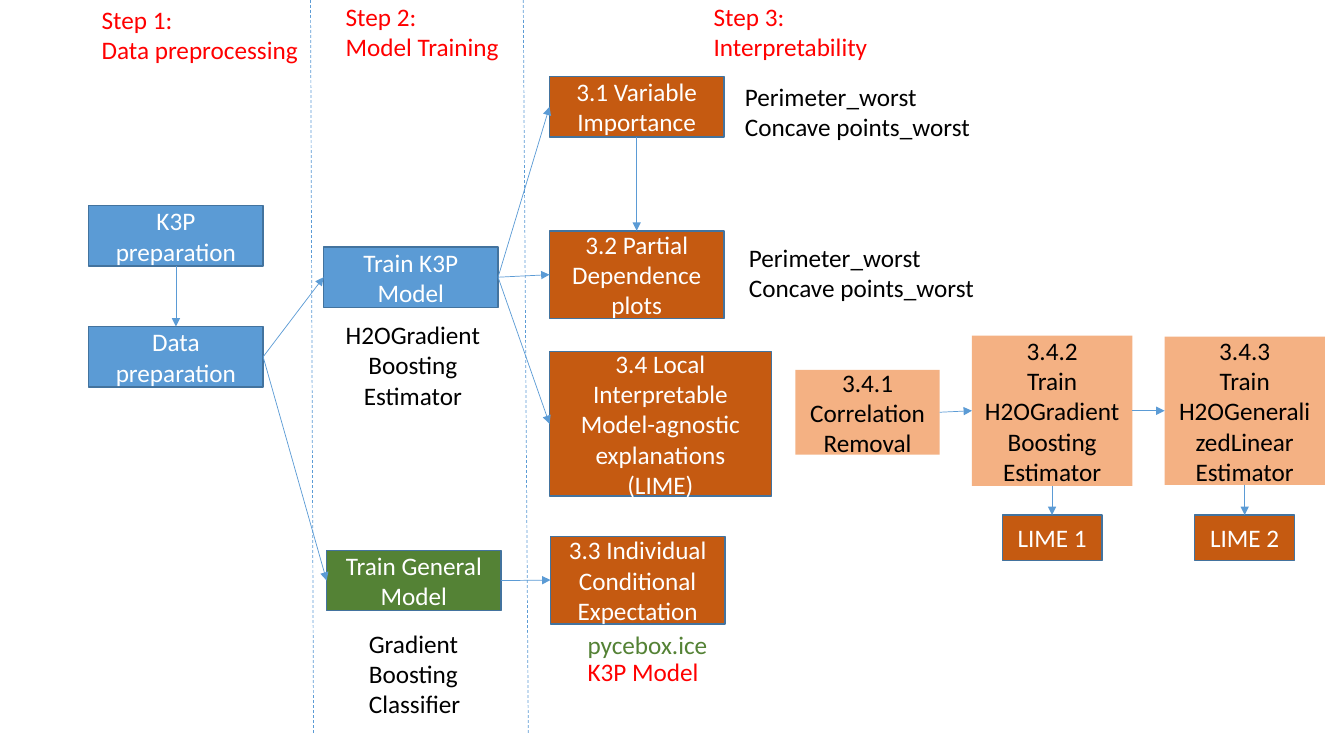
from lxml.etree import SubElement
from pptx import Presentation
from pptx.dml.color import RGBColor
from pptx.enum.dml import MSO_LINE
from pptx.enum.shapes import MSO_CONNECTOR, MSO_SHAPE
from pptx.enum.text import MSO_ANCHOR, MSO_AUTO_SIZE, PP_ALIGN
from pptx.oxml.ns import qn
from pptx.util import Inches, Pt

BLUE = RGBColor(0x5B, 0x9B, 0xD5)
OUTLINE = RGBColor(0x43, 0x73, 0x9E)
ORANGE = RGBColor(0xC5, 0x5A, 0x11)
PEACH = RGBColor(0xF4, 0xB1, 0x83)
GREEN = RGBColor(0x54, 0x82, 0x35)
RED = RGBColor(0xFF, 0x00, 0x00)
BLACK = RGBColor(0x00, 0x00, 0x00)
WHITE = RGBColor(0xFF, 0xFF, 0xFF)

TOP, LEFT, BOTTOM, RIGHT = 0, 1, 2, 3
BOX_WIDTH, BOX_HEIGHT, TALL_HEIGHT = 1.73, 0.6, 0.87


def write(frame, text, color=BLACK, align=PP_ALIGN.LEFT, wrap=True):
    """Fill a text frame with one paragraph per line of text."""
    frame.word_wrap = wrap
    for index, line in enumerate(text.split("\n")):
        para = frame.add_paragraph() if index else frame.paragraphs[0]
        para.alignment = align
        span = para.add_run()
        span.text = line
        span.font.name = "Calibri"
        span.font.size = Pt(18)
        span.font.color.rgb = color


def add_label(page, left, top, width, height, text, **style):
    """Add a text box that grows with its text."""
    label = page.shapes.add_textbox(Inches(left), Inches(top), Inches(width), Inches(height))
    write(label.text_frame, text, **style)
    label.text_frame.auto_size = MSO_AUTO_SIZE.SHAPE_TO_FIT_TEXT


def add_box(page, left, top, text, fill, width=BOX_WIDTH, height=BOX_HEIGHT,
            outline=OUTLINE, color=WHITE):
    """Add a filled rectangle with centred text."""
    box = page.shapes.add_shape(MSO_SHAPE.RECTANGLE, Inches(left), Inches(top),
                                Inches(width), Inches(height))
    box.shadow.inherit = False
    box.fill.solid()
    box.fill.fore_color.rgb = fill
    if outline is None:
        box.line.fill.background()
    else:
        box.line.color.rgb = outline
        box.line.width = Pt(1)
    box.text_frame.vertical_anchor = MSO_ANCHOR.MIDDLE
    write(box.text_frame, text, color=color, align=PP_ALIGN.CENTER)
    return box


def add_line(page, left=0, top=0, right=0, bottom=0):
    """Add a thin blue straight connector without shadow."""
    line = page.shapes.add_connector(MSO_CONNECTOR.STRAIGHT, Inches(left), Inches(top),
                                     Inches(right), Inches(bottom))
    line.line.color.rgb = BLUE
    line.line.width = Pt(0.5)
    SubElement(line._element.spPr, qn("a:effectLst"))
    return line


def add_arrow(page, source, source_side, target, target_side):
    """Join the sides of two boxes with an arrow."""
    arrow = add_line(page)
    arrow.begin_connect(source, source_side)
    arrow.end_connect(target, target_side)
    SubElement(arrow.line._get_or_add_ln(), qn("a:tailEnd"), type="triangle")


def add_divider(page, top_x, bottom_x):
    """Add a dashed line between two steps."""
    divider = add_line(page, top_x, 0, bottom_x, 7.28)
    divider.line.dash_style = MSO_LINE.DASH


def add_preprocessing(page, left, top):
    """Place step 1 and return the data box."""
    add_label(page, left + 0.03, top - 0.01, 2.96, 0.71,
              "Step 1:\nData preprocessing", color=RED)
    setup = add_box(page, left, top + 2.04, "K3P preparation", BLUE)
    data = add_box(page, left, top + 3.24, "Data preparation", BLUE)
    add_arrow(page, setup, BOTTOM, data, TOP)
    return data


def add_training(page, left, top):
    """Place step 2 and return the two model boxes."""
    add_label(page, left + 0.12, top - 0.04, 1.97, 0.71,
              "Step 2:\nModel Training", color=RED)
    platform_model = add_box(page, left, top + 2.45, "Train K3P Model", BLUE)
    add_label(page, left + 0.11, top + 3.12, 1.55, 1.01,
              "H2OGradient\nBoosting\nEstimator", align=PP_ALIGN.CENTER, wrap=False)
    general_model = add_box(page, left + 0.03, top + 5.46, "Train General Model", GREEN)
    add_label(page, left + 0.35, top + 6.18, 1.12, 1.01,
              "Gradient\nBoosting\nClassifier", wrap=False)
    return platform_model, general_model


def add_interpretability(page, left, top):
    """Place step 3 and return its four method boxes."""
    add_label(page, left + 1.53, top - 0.04, 2.96, 0.71,
              "Step 3:\nInterpretability", color=RED)
    importance = add_box(page, left, top + 0.76, "3.1 Variable\nImportance", ORANGE)
    dependence = add_box(page, left, top + 2.29, "3.2 Partial\nDependence plots", ORANGE,
                         height=TALL_HEIGHT)
    lime = add_box(page, left, top + 3.49,
                   "3.4 Local Interpretable Model-agnostic explanations\n(LIME)",
                   ORANGE, width=2.2, height=1.43)
    expectation = add_box(page, left + 0.01, top + 5.32,
                          "3.3 Individual Conditional Expectation", ORANGE,
                          height=TALL_HEIGHT)
    for label_left, label_top in ((1.84, 0.76), (1.88, 2.35)):
        add_label(page, left + label_left, top + label_top, 2.96, 0.71,
                  "Perimeter_worst\nConcave points_worst")
    add_label(page, left + 0.28, top + 6.19, 1.4, 0.4, "pycebox.ice", color=GREEN, wrap=False)
    add_label(page, left + 0.28, top + 6.46, 1.38, 0.4, "K3P Model", color=RED, wrap=False)
    add_arrow(page, importance, BOTTOM, dependence, TOP)
    return importance, dependence, lime, expectation


def add_lime_chain(page, left, top):
    """Place the LIME sub-steps with their results below."""
    peach = {"fill": PEACH, "outline": None, "color": BLACK}
    previous = add_box(page, left, top + 0.34, "3.4.1\nCorrelation Removal",
                       width=1.43, height=0.84, **peach)
    estimators = (
        ("3.4.2\nTrain\nH2OGradientBoosting Estimator", 0, 1.49, "LIME 1"),
        ("3.4.3\nTrain\nH2OGeneralizedLinear Estimator", 0.01, 1.47, "LIME 2"),
    )
    for index, (text, drop, height, result_text) in enumerate(estimators):
        estimator_left = left + 1.75 + index * 1.91
        estimator = add_box(page, estimator_left, top + drop, text,
                            width=1.59, height=height, **peach)
        result = add_box(page, estimator_left + 0.3, top + 1.78, result_text, ORANGE,
                         width=0.99, height=0.45)
        add_arrow(page, previous, RIGHT, estimator, LEFT)
        add_arrow(page, estimator, BOTTOM, result, TOP)
        previous = estimator


def main():
    """Build the workflow slide and save it."""
    deck = Presentation()
    deck.slide_width, deck.slide_height = Inches(13.33), Inches(7.5)
    page = deck.slides.add_slide(deck.slide_layouts[6])

    add_divider(page, 3.08, 3.11)
    add_divider(page, 5.19, 5.24)
    data = add_preprocessing(page, 0.88, 0)
    platform_model, general_model = add_training(page, 3.21, 0)
    importance, dependence, lime, expectation = add_interpretability(page, 5.45, 0)
    add_lime_chain(page, 7.89, 3.33)

    for source, target in (
        (data, platform_model), (data, general_model),
        (platform_model, importance), (platform_model, dependence), (platform_model, lime),
        (general_model, expectation),
    ):
        add_arrow(page, source, RIGHT, target, LEFT)
    deck.save("out.pptx")


if __name__ == "__main__":
    main()
